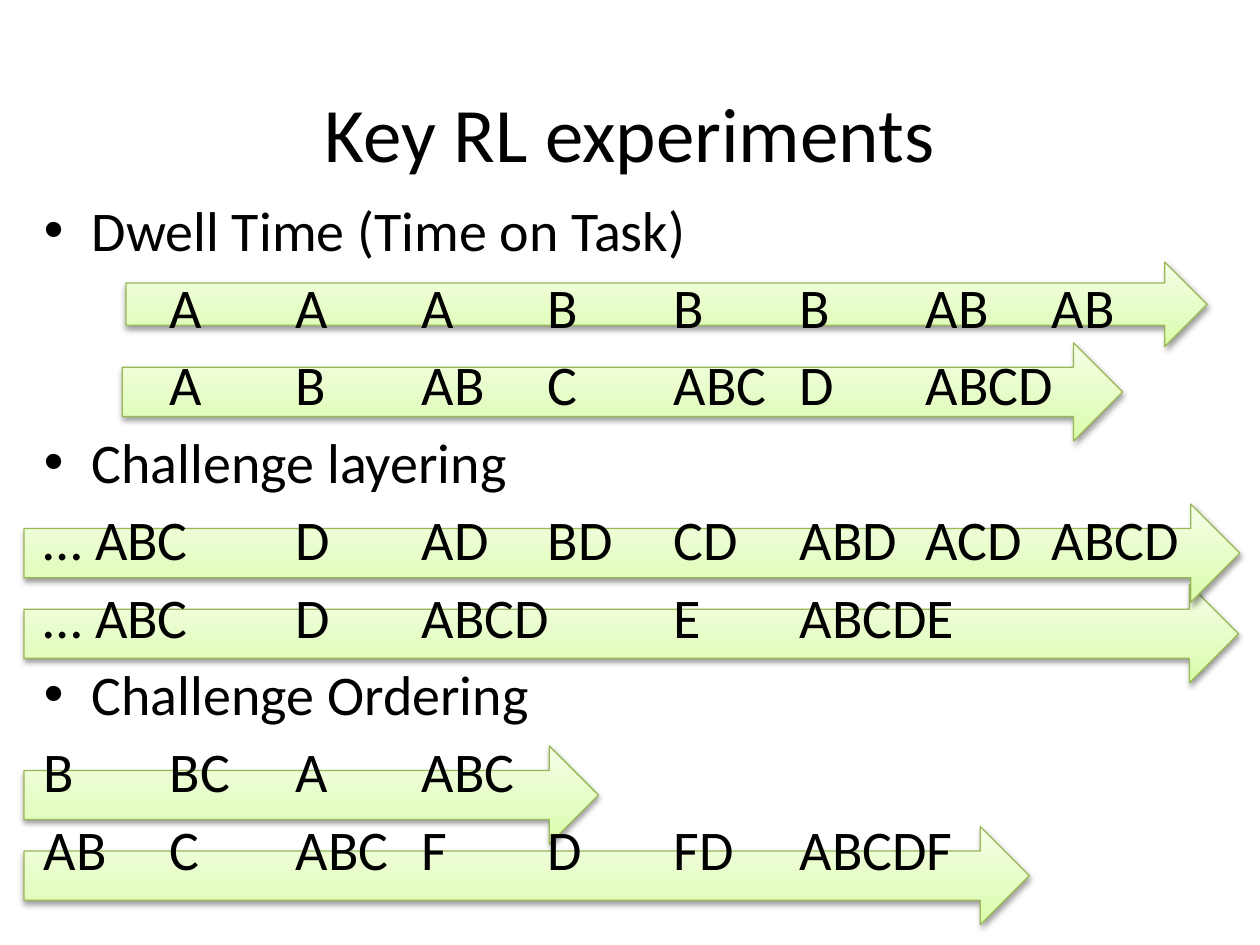
from lxml.etree import SubElement
from pptx import Presentation
from pptx.dml.color import RGBColor
from pptx.enum.shapes import MSO_SHAPE
from pptx.enum.text import MSO_ANCHOR, PP_ALIGN
from pptx.oxml.ns import qn
from pptx.util import Inches, Pt

WIDTH, HEIGHT = 10, 7.5
FIRST_ROW, ROW_STEP = 2.08, 0.64
TAB_STEP, TAB_COUNT = 1, 8
HANGING = 0.38
INK, OUTLINE = "000000", "98B955"
GRADIENT = [(0, "DAFDA7"), (35, "E4FCC2"), (100, "F5FFE7")]

# heading, then one (left, length, height, sequence) per arrow
EXPERIMENTS = [
    ("Dwell Time (Time on Task)", [
        (1, 8.58, 0.67, "\tA\tA\tA\tB\tB\tB\tAB\tAB"),
        (0.97, 7.94, 0.78, "\tA\tB\tAB\tC\tABC\tD\tABCD"),
    ]),
    ("Challenge layering", [
        (0.19, 9.65, 0.78, "… ABC\tD\tAD\tBD\tCD\tABD\tACD\tABCD"),
        (0.19, 9.64, 0.78, "… ABC\tD\tABCD\tE\tABCDE"),
    ]),
    ("Challenge Ordering", [
        (0.19, 4.56, 0.78, "B\tBC\tA\tABC"),
        (0.19, 7.98, 0.78, "AB\tC\tABC\tF\tD\tFD\tABCDF"),
    ]),
]


def color(code):
    return RGBColor.from_string(code)


def add_xml(parent, tag, **attributes):
    return SubElement(parent, qn(tag), {k: str(v) for k, v in attributes.items()})


def style_font(paragraph, size):
    for name, value in {"name": "Calibri", "size": Pt(size)}.items():
        setattr(paragraph.font, name, value)
    paragraph.font.color.rgb = color(INK)


def add_frame(slide, left, top, width, height, anchor):
    frame = slide.shapes.add_textbox(*map(Inches, (left, top, width, height))).text_frame
    for name, value in {"word_wrap": True, "vertical_anchor": anchor}.items():
        setattr(frame, name, value)
    return frame


def add_arrow(slide, left, top, length, height):
    arrow = slide.shapes.add_shape(
        MSO_SHAPE.RIGHT_ARROW, *map(Inches, (left, top, length, height)))
    arrow.fill.gradient()
    arrow.fill.gradient_angle = 90
    arrow.line.color.rgb = color(OUTLINE)
    arrow.line.width = Pt(0.75)
    arrow.shadow.inherit = False

    properties = arrow._element.spPr
    stops = properties.find(qn("a:gradFill")).find(qn("a:gsLst"))
    stops.clear()
    for percent, code in GRADIENT:
        stop = add_xml(stops, "a:gs", pos=percent * 1000)
        add_xml(stop, "a:srgbClr", val=code)

    shadow = add_xml(properties.find(qn("a:effectLst")), "a:outerShdw",
                     blurRad=Pt(3.1), dist=Pt(1.6), dir=90 * 60000, rotWithShape=0)
    shade = add_xml(shadow, "a:srgbClr", val=INK)
    add_xml(shade, "a:alpha", val=38000)


def add_title(slide, text):
    frame = add_frame(slide, 0.5, 0.42, WIDTH - 1, 1.25, MSO_ANCHOR.MIDDLE)
    title = frame.paragraphs[0]
    title.text = text
    title.alignment = PP_ALIGN.CENTER
    style_font(title, 44)


def format_heading(paragraph):
    properties = paragraph._p.get_or_add_pPr()
    properties.set("marL", str(Inches(HANGING)))
    properties.set("indent", str(-Inches(HANGING)))
    add_xml(properties, "a:buFont", typeface="Arial")
    add_xml(properties, "a:buChar", char="•")


def format_sequence(paragraph):
    tabs = add_xml(paragraph._p.get_or_add_pPr(), "a:tabLst")
    for column in range(1, TAB_COUNT + 1):
        add_xml(tabs, "a:tab", pos=Inches(column * TAB_STEP), algn="l")


def add_outline(slide):
    frame = add_frame(slide, 0.25, 1.5, WIDTH - 0.5, 4.39, MSO_ANCHOR.TOP)
    lines = []
    for heading, arrows in EXPERIMENTS:
        lines.append((heading, format_heading))
        lines += [(sequence, format_sequence) for *_, sequence in arrows]
    for index, (text, apply_format) in enumerate(lines):
        paragraph = frame.add_paragraph() if index else frame.paragraphs[0]
        paragraph.text = text
        apply_format(paragraph)
        paragraph.space_before = Pt(5.8 if index else 0)
        style_font(paragraph, 32)


def add_arrows(slide):
    """Place arrows from the bottom up, so that upper ones overlap lower ones."""
    placed = []
    row = 0
    for _, arrows in EXPERIMENTS:
        for left, length, height, _ in arrows:
            placed.append((left, FIRST_ROW + row * ROW_STEP, length, height))
            row += 1
        row += 1  # the next heading takes a row
    for box in reversed(placed):
        add_arrow(slide, *box)


def main():
    deck = Presentation()
    deck.slide_width, deck.slide_height = Inches(WIDTH), Inches(HEIGHT)
    slide = deck.slides.add_slide(deck.slide_layouts[6])
    add_arrows(slide)
    add_title(slide, "Key RL experiments")
    add_outline(slide)
    deck.save("out.pptx")


if __name__ == "__main__":
    main()
